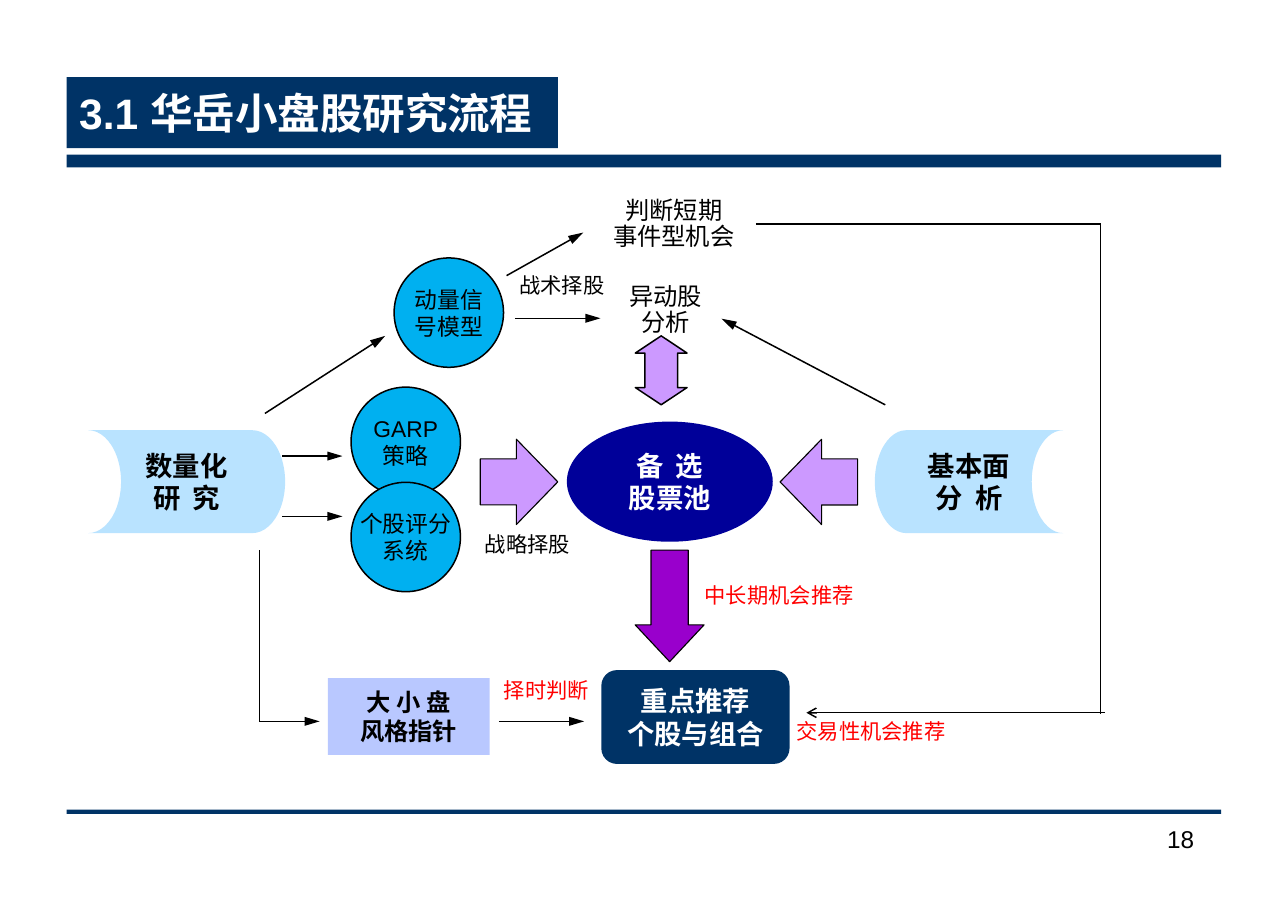
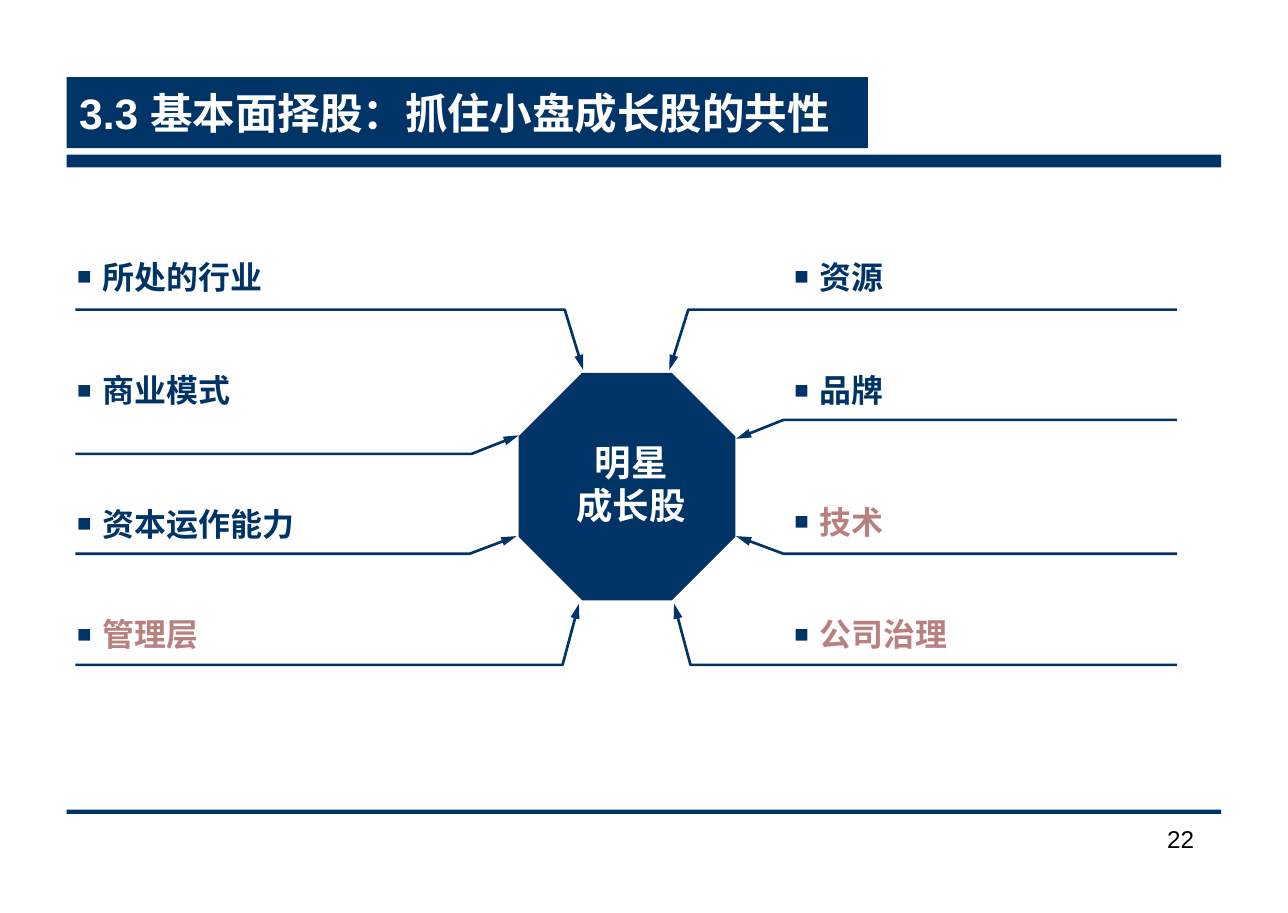
from lxml.etree import SubElement
from pptx import Presentation
from pptx.dml.color import RGBColor
from pptx.enum.shapes import MSO_CONNECTOR, MSO_SHAPE
from pptx.enum.text import MSO_ANCHOR, PP_ALIGN
from pptx.oxml.ns import qn
from pptx.util import Cm, Pt

NAVY = RGBColor(0x00, 0x33, 0x66)
WHITE = RGBColor(0xFF, 0xFF, 0xFF)
BLACK = RGBColor(0x00, 0x00, 0x00)
RED = RGBColor(0xFF, 0x00, 0x00)
ROSE = RGBColor(0xB9, 0x80, 0x80)
SKY = RGBColor(0x00, 0xB0, 0xF0)
PALE_BLUE = RGBColor(0xB9, 0xE3, 0xFF)
PERIWINKLE = RGBColor(0xB9, 0xC8, 0xFF)
DEEP_BLUE = RGBColor(0x00, 0x00, 0x99)
LILAC = RGBColor(0xCC, 0x99, 0xFF)
PURPLE = RGBColor(0x99, 0x00, 0xCC)

LATIN_FONT = "Arial"
CHINESE_FONT = "Noto Sans CJK SC"
MARGIN = 1.55
BAND_WIDTH = 26.8
PADDING = (0.29, 0.15)
NO_PADDING = (0, 0)


def write(box, text, size, color, bold=False, align=PP_ALIGN.CENTER,
          anchor=MSO_ANCHOR.MIDDLE, padding=NO_PADDING, spacing=None,
          wrap=True, font=LATIN_FONT):
    frame = box.text_frame
    frame.text = text
    frame.word_wrap = wrap
    frame.vertical_anchor = anchor
    frame.margin_left = frame.margin_right = Cm(padding[0])
    frame.margin_top = frame.margin_bottom = Cm(padding[1])
    for para in frame.paragraphs:
        para.alignment = align
        para.line_spacing = spacing
        for span in para.runs:
            span.font.size = Pt(size)
            span.font.bold = bold
            span.font.color.rgb = color
            span.font.name = font
            SubElement(span.font._element, qn("a:ea"), typeface=CHINESE_FONT)


def add_text(page, left, top, width, height, text, size, color, **style):
    box = page.shapes.add_textbox(Cm(left), Cm(top), Cm(width), Cm(height))
    write(box, text, size, color, **style)
    return box


def paint(shape, fill, outline=None):
    """Fill a shape; outline is the width of a black border in points."""
    shape.shadow.inherit = False
    shape.fill.solid()
    shape.fill.fore_color.rgb = fill
    if outline:
        shape.line.color.rgb = BLACK
        shape.line.width = Pt(outline)
    else:
        shape.line.fill.background()


def add_figure(page, kind, left, top, width, height, fill, outline=None,
               adjust=(), rotation=0):
    shape = page.shapes.add_shape(kind, Cm(left), Cm(top), Cm(width), Cm(height))
    paint(shape, fill, outline)
    for index, value in enumerate(adjust):
        shape.adjustments[index] = value
    shape.rotation = rotation
    return shape


def add_outline(page, points, close):
    first, *rest = [(Cm(x), Cm(y)) for x, y in points]
    builder = page.shapes.build_freeform(*first, scale=1.0)
    builder.add_line_segments(rest, close=close)
    return builder.convert_to_shape()


def add_arrowhead(line, end, kind="triangle"):
    length = "lg" if kind == "triangle" else "med"
    SubElement(line._get_or_add_ln(), qn(end), type=kind, w="med", len=length)


def add_line(page, start, end, tail=None, width=1):
    connector = page.shapes.add_connector(
        MSO_CONNECTOR.STRAIGHT, *(Cm(value) for value in start + end))
    connector.line.color.rgb = BLACK
    connector.line.width = Pt(width)
    if tail:
        add_arrowhead(connector.line, "a:tailEnd", tail)
    SubElement(connector._element.spPr, qn("a:effectLst"))


def add_pointer(page, points):
    """Draw a bent line whose arrowhead sits at the first point."""
    pointer = add_outline(page, points, close=False)
    pointer.shadow.inherit = False
    pointer.fill.background()
    pointer.line.color.rgb = NAVY
    pointer.line.width = Pt(1.75)
    add_arrowhead(pointer.line, "a:headEnd")


def add_bullet(page, left, top, text, color):
    box = add_text(page, left, top, 8.89, 1.07, text, 21, color, bold=True,
                   align=PP_ALIGN.LEFT, anchor=MSO_ANCHOR.BOTTOM, spacing=1.2)
    para = box.text_frame.paragraphs[0]
    para.space_before = Pt(5.2)
    properties = para._p.get_or_add_pPr()
    properties.set("marL", str(Cm(0.59)))
    properties.set("indent", str(-Cm(0.59)))
    bullet_color = SubElement(properties, qn("a:buClr"))
    SubElement(bullet_color, qn("a:srgbClr"), val=str(NAVY))
    SubElement(properties, qn("a:buSzPct"), val="75000")
    SubElement(properties, qn("a:buFont"), typeface=LATIN_FONT)
    SubElement(properties, qn("a:buChar"), char="■")


def widen(para):
    """Open the gap between the characters of a short line."""
    for span in para.runs:
        span.font._element.set("spc", "200")


def add_page(deck, title, title_width, number):
    page = deck.slides.add_slide(deck.slide_layouts[6])
    for top, height in ((3.59, 0.3), (18.8, 0.1)):
        add_figure(page, MSO_SHAPE.RECTANGLE, MARGIN, top, BAND_WIDTH, height, NAVY)
    add_text(page, 25.75, 18.98, 2.26, 1.47, str(number), 16, BLACK,
             align=PP_ALIGN.RIGHT, anchor=MSO_ANCHOR.TOP, padding=PADDING)
    heading = add_figure(page, MSO_SHAPE.RECTANGLE, MARGIN, 1.79, title_width, 1.65, NAVY)
    write(heading, title, 28, WHITE, bold=True, align=PP_ALIGN.LEFT, padding=PADDING)
    return page


def add_flow_lines(page):
    triangle_arrows = (
        ((6.55, 10.59), (7.95, 10.59)),
        ((6.55, 11.99), (7.95, 11.99)),
        ((6.15, 9.6), (8.94, 7.8)),
        ((11.76, 6.4), (13.54, 5.4)),
        ((11.95, 7.39), (13.94, 7.39)),
        ((20.55, 9.4), (16.75, 7.4)),
        ((6.02, 16.75), (7.42, 16.75)),
        ((11.58, 16.75), (13.56, 16.75)),
    )
    for start, end in triangle_arrows:
        add_line(page, start, end, tail="triangle")
    add_line(page, (6.02, 12.78), (6.02, 16.75), width=0.75)
    add_line(page, (17.55, 5.2), (25.55, 5.2))
    add_line(page, (25.55, 5.2), (25.55, 16.58))
    add_line(page, (25.65, 16.55), (18.72, 16.55), tail="arrow")


def add_block_arrows(page):
    for left, top, width, height, fill, rotation in (
        (11.15, 10.2, 1.8, 1.98, LILAC, 0),
        (18.11, 10.2, 1.8, 1.98, LILAC, 180),
        (14.25, 13.27, 2.59, 1.6, PURPLE, 90),
    ):
        add_figure(page, MSO_SHAPE.RIGHT_ARROW, left, top, width, height, fill,
                   outline=0.75, adjust=(0.54, 0.534), rotation=rotation)

    middle, half_head, half_shaft = 15.35, 0.6, 0.38
    tip_top, neck_top, neck_bottom, tip_bottom = 7.8, 8.2, 9, 9.4
    right_side = (
        (half_head, neck_top), (half_shaft, neck_top),
        (half_shaft, neck_bottom), (half_head, neck_bottom),
    )
    points = [(middle, tip_top)]
    points += [(middle + offset, y) for offset, y in right_side]
    points += [(middle, tip_bottom)]
    points += [(middle - offset, y) for offset, y in reversed(right_side)]
    paint(add_outline(page, points, close=True), LILAC, outline=1)


def add_flow_labels(page):
    for left, top, width, text in (
        (13.36, 6.6, 4.19, "异动股\n分析"),
        (13.74, 4.6, 3.81, "判断短期\n事件型机会"),
    ):
        add_text(page, left, top, width, 1.22, text, 16, BLACK, spacing=0.9)
    for left, top, text, color, align in (
        (10.59, 15.8, "择时判断", RED, PP_ALIGN.CENTER),
        (10.95, 6.38, "战术择股", BLACK, PP_ALIGN.CENTER),
        (10.15, 12.4, "战略择股", BLACK, PP_ALIGN.CENTER),
        (16.36, 13.59, "中长期机会推荐", RED, PP_ALIGN.LEFT),
        (18.49, 16.74, "交易性机会推荐", RED, PP_ALIGN.LEFT),
    ):
        add_text(page, left, top, 4.19, 0.53, text, 14, color, align=align, spacing=0.9)


def add_stage(page, kind, left, top, width, height, fill, text, color=BLACK, size=18):
    stage = add_figure(page, kind, left, top, width, height, fill)
    write(stage, text, size, color, bold=True, padding=PADDING, font=CHINESE_FONT)
    return stage


def build_process(deck):
    page = add_page(deck, "3.1 华岳小盘股研究流程", 11.4, 18)
    add_flow_lines(page)
    for left, top, text in (
        (9.15, 5.99, "动量信\n号模型"),
        (8.15, 8.99, "GARP\n策略"),
        (8.15, 11.2, "个股评分\n系统"),
    ):
        circle = add_figure(page, MSO_SHAPE.OVAL, left, top, 2.54, 2.54, SKY, outline=1)
        write(circle, text, 15, BLACK, wrap=False)
    add_block_arrows(page)
    add_flow_labels(page)

    add_stage(page, MSO_SHAPE.ROUNDED_RECTANGLE, 13.96, 15.56, 4.37, 2.18, NAVY,
              "重点推荐\n个股与组合", WHITE)
    add_stage(page, MSO_SHAPE.RECTANGLE, 7.61, 15.75, 3.76, 1.78, PERIWINKLE,
              "大 小 盘\n风格指针", size=16)
    fundamental = add_stage(page, MSO_SHAPE.FLOWCHART_STORED_DATA, 20.31, 9.99,
                            4.37, 2.39, PALE_BLUE, "基本面\n分 析")
    quantitative = add_stage(page, MSO_SHAPE.FLOWCHART_STORED_DATA, 2.05, 9.99,
                             4.57, 2.39, PALE_BLUE, "数量化\n研 究")
    quantitative._element.spPr.find(qn("a:xfrm")).set("flipH", "1")
    pool = add_stage(page, MSO_SHAPE.OVAL, 13.16, 9.79, 4.78, 2.79, DEEP_BLUE,
                     "备 选\n股票池", WHITE)
    for stage, spaced_line in ((fundamental, 1), (quantitative, 1), (pool, 0)):
        widen(stage.text_frame.paragraphs[spaced_line])


def build_common_traits(deck):
    page = add_page(deck, "3.3 基本面择股：抓住小盘成长股的共性", 18.6, 22)
    add_figure(page, MSO_SHAPE.OCTAGON, 12.04, 8.66, 5.03, 5.28, NAVY, adjust=(0.293,))
    add_text(page, 12.75, 10.21, 3.81, 2.03, "明星\n成长股", 24, WHITE, bold=True,
             anchor=MSO_ANCHOR.TOP)

    left_traits = (
        ("所处的行业", NAVY, 5.8, (13.54, 8.59), (13.11, 7.19)),
        ("商业模式", NAVY, 8.43, (12.04, 10.11), (10.95, 10.54)),
        ("资本运作能力", NAVY, 11.53, (11.99, 12.45), (10.9, 12.86)),
        ("管理层", ROSE, 14.1, (13.44, 14.02), (13.06, 15.44)),
    )
    right_traits = (
        ("资源", NAVY, 5.79, (15.54, 8.59), (15.98, 7.19)),
        ("品牌", NAVY, 8.43, (17.09, 10.19), (18.19, 9.75)),
        ("技术", ROSE, 11.48, (17.09, 12.45), (18.19, 12.86)),
        ("公司治理", ROSE, 14.1, (15.65, 14.02), (16.03, 15.44)),
    )
    for traits, left, outer_end in ((left_traits, 1.79, 1.75), (right_traits, 18.44, 27.33)):
        for text, color, top, tip, bend in traits:
            add_bullet(page, left, top, text, color)
            add_pointer(page, (tip, bend, (outer_end, bend[1])))


def main():
    deck = Presentation()
    deck.slide_width = Cm(29.9)
    deck.slide_height = Cm(21.2)
    build_process(deck)
    build_common_traits(deck)
    deck.save("out.pptx")


if __name__ == "__main__":
    main()
